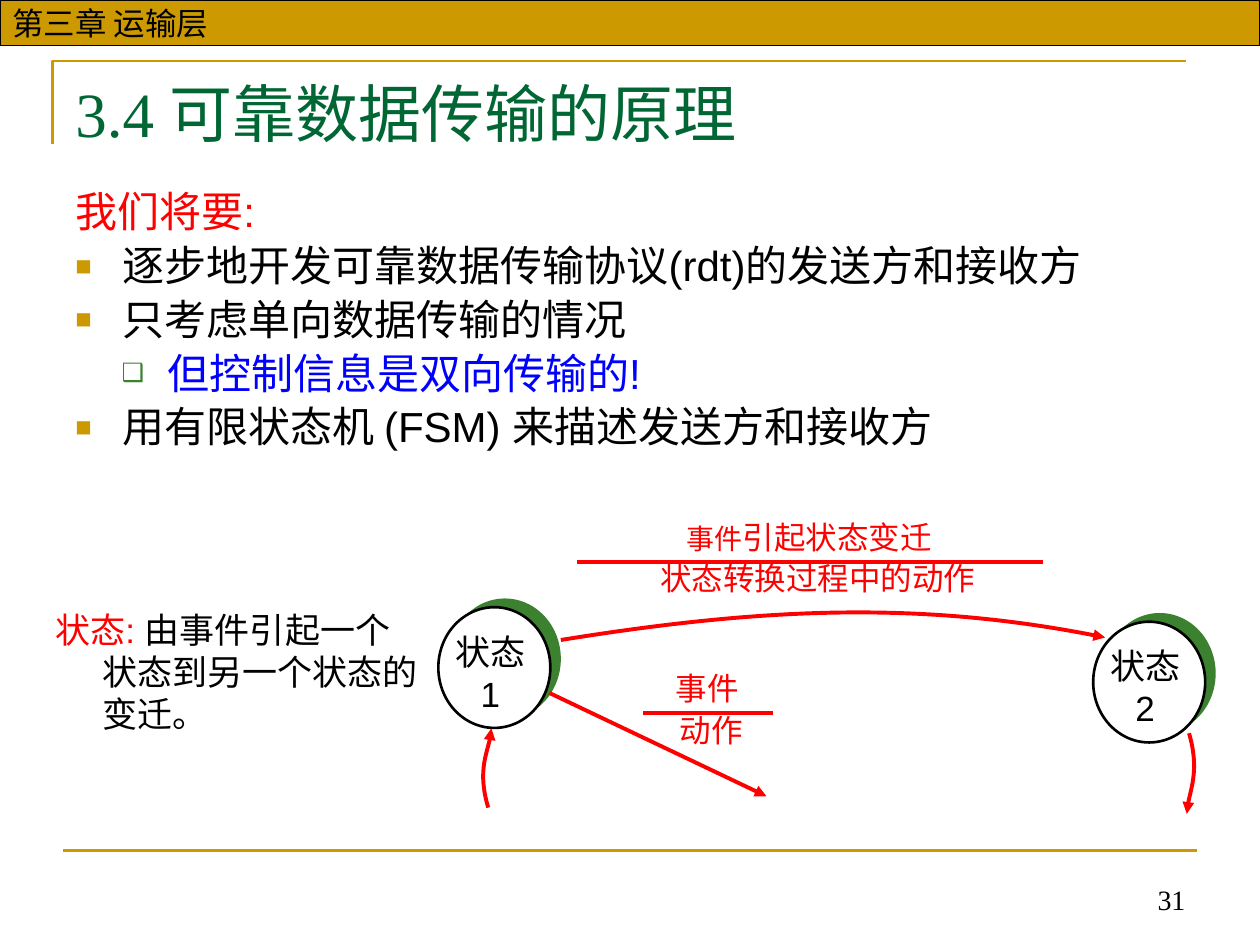
"""Builds the slide on the principles of reliable data transfer."""
from lxml import etree
from pptx import Presentation
from pptx import util as u
from pptx.dml.color import RGBColor
from pptx.enum import shapes, text
from pptx.oxml.ns import qn

COLORS = {"gold": "CC9900", "title": "006633", "green": "3B812F", "red": "FF0000",
          "blue": "0000FF", "black": "000000", "white": "FFFFFF"}
ALIGN = text.PP_ALIGN
HEADER = "第三章 运输层"
BODY = [
    ("我们将要:", "red", 0),
    ("逐步地开发可靠数据传输协议(rdt)的发送方和接收方", "black", 1),
    ("只考虑单向数据传输的情况", "black", 1),
    ("但控制信息是双向传输的!", "blue", 2),
    ("用有限状态机 (FSM) 来描述发送方和接收方", "black", 1),
]
BULLETS = {1: ("■", "gold", 65, 27, -27), 2: ("❑", "green", 60, 52.5, -26)}
STATES = [("1", 250.5, 347), ("2", 624.7, 355.3)]
STATE_SIZE = (64, 69)
LABELS = [
    ([("事件", 16), ("引起状态变迁", 18)], (385, 292.5, 155, 29)),
    ([("状态转换过程中的动作", 18)], (370, 316, 194.5, 29)),
    ([("事件", 18)], (374, 379, 60, 29)),
    ([("动作", 18)], (376.5, 403, 60, 29)),
]
LINES = [
    ((36, 486), (684, 486), "gold", 1.5, False),
    ((330, 321), (596, 321), "red", 2.25, False),
    ((367.5, 407.5), (442, 407.5), "red", 2.25, False),
    ((314, 396), (438, 455), "red", 2.25, True),
]
CURVES = [
    [(320.5, 365.7), (436.3, 347), (529.2, 343.4), (631.5, 364.3)],
    [(279, 461.5), (272.9, 441.4), (280.8, 423.4), (280.8, 416.2)],
    [(679.5, 419), (685.4, 439.2), (678.2, 457.9), (678.2, 465.1)],
]


def rgb(name):
    return RGBColor.from_string(COLORS[name])


def points(values):
    return [u.Pt(value) for value in values]


def style_line(shape, color, width, arrow=False):
    shape.line.color.rgb = rgb(color)
    shape.line.width = u.Pt(width)
    if arrow:
        etree.SubElement(shape.line._get_or_add_ln(), qn("a:tailEnd"), type="triangle")


def write(paragraph, runs, font="Arial", align=ALIGN.LEFT):
    paragraph.alignment = align
    for wording, size, color in runs:
        run = paragraph.add_run()
        run.text = wording
        run.font.size, run.font.name = u.Pt(size), font
        run.font.color.rgb = rgb(color)


def add_text(slide, box, paragraphs, font="Arial", align=ALIGN.LEFT, wrap=True,
             anchor=text.MSO_ANCHOR.TOP):
    frame = slide.shapes.add_textbox(*points(box)).text_frame
    frame.word_wrap, frame.vertical_anchor = wrap, anchor
    for index, runs in enumerate(paragraphs):
        paragraph = frame.add_paragraph() if index else frame.paragraphs[0]
        write(paragraph, runs, font, align)
    return frame


def add_filled(slide, kind, box, fill, line_width=0):
    shape = slide.shapes.add_shape(kind, *points(box))
    shape.shadow.inherit = False
    shape.fill.solid()
    shape.fill.fore_color.rgb = rgb(fill)
    if line_width:
        style_line(shape, "black", line_width)
    else:
        shape.line.fill.background()
    return shape


def set_indent(paragraph, left, first):
    properties = paragraph._p.get_or_add_pPr()
    properties.set("marL", str(u.Pt(left)))
    properties.set("indent", str(u.Pt(first)))
    return properties


def add_bullet(paragraph, level):
    character, color, size, left, first = BULLETS[level]
    paragraph.level = level - 1
    properties = set_indent(paragraph, left, first)
    bullet_color = etree.SubElement(properties, qn("a:buClr"))
    etree.SubElement(bullet_color, qn("a:srgbClr"), val=COLORS[color])
    etree.SubElement(properties, qn("a:buSzPct"), val=str(size * 1000))
    etree.SubElement(properties, qn("a:buFont"), typeface="Arial")
    etree.SubElement(properties, qn("a:buChar"), char=character)


def add_line(slide, start, end, color, width, arrow):
    line = slide.shapes.add_connector(shapes.MSO_CONNECTOR.STRAIGHT, *points(start + end))
    style_line(line, color, width, arrow)
    etree.SubElement(line._element.spPr, qn("a:effectLst"))


def add_outline(slide, vertices, color, width, arrow=False):
    start, *rest = [tuple(points(vertex)) for vertex in vertices]
    builder = slide.shapes.build_freeform(*start)
    builder.add_line_segments(rest, close=False)
    shape = builder.convert_to_shape()
    shape.shadow.inherit = False
    shape.fill.background()
    style_line(shape, color, width, arrow)
    return shape


def add_curve(slide, vertices):
    shape = add_outline(slide, vertices, "red", 2.25, True)
    outline = next(shape._element.iter(qn("a:path")))
    curve = etree.SubElement(outline, qn("a:cubicBezTo"))
    for segment in outline.findall(qn("a:lnTo")):
        curve.append(segment[0])
        outline.remove(segment)


def add_state(slide, number, left, top):
    oval = shapes.MSO_SHAPE.OVAL
    add_filled(slide, oval, (left + 6, top - 5) + STATE_SIZE, "green")
    add_filled(slide, oval, (left, top) + STATE_SIZE, "white", 1.5)
    add_text(slide, (left - 0.3, top + 9.5, 60, 55.4),
             [[("状态", 20, "black")], [(number, 20, "black")]],
             align=ALIGN.CENTER, wrap=False)


def main():
    presentation = Presentation()
    presentation.slide_width, presentation.slide_height = points((720, 540))
    slide = presentation.slides.add_slide(presentation.slide_layouts[6])

    add_outline(slide, [(30, 82.5), (30, 34.8), (678, 34.8)], "gold", 1.5)
    header = add_filled(slide, shapes.MSO_SHAPE.RECTANGLE, (0, 0, 720, 26), "gold", 0.75)
    header.text_frame.vertical_anchor = text.MSO_ANCHOR.MIDDLE
    write(header.text_frame.paragraphs[0], [(HEADER, 18, "black")])

    add_text(slide, (456.5, 491, 228, 36), [[("31", 16, "black")]], "Times New Roman",
             ALIGN.RIGHT, anchor=text.MSO_ANCHOR.BOTTOM)
    add_text(slide, (36, 39, 648, 55.5), [[("3.4 可靠数据传输的原理", 36, "title")]],
             "Times New Roman")

    body = add_text(slide, (36, 106, 648, 170),
                    [[(wording, 24, color)] for wording, color, _ in BODY])
    for index, (paragraph, (_, _, level)) in enumerate(zip(body.paragraphs, BODY)):
        paragraph.line_spacing = 0.9
        paragraph.space_before = u.Pt(4.8 if index else 0)
        if level:
            add_bullet(paragraph, level)
        else:
            set_indent(paragraph, 27, -27)

    for state in STATES:
        add_state(slide, *state)
    definition = add_text(slide, (24.5, 344, 224, 97), [[
        ("状态: ", 20, "red"), ("由事件引起一个状态到另一个状态的变迁。", 20, "black")]])
    set_indent(definition.paragraphs[0], 27, -27)

    for runs, box in LABELS:
        add_text(slide, box, [[(wording, size, "red") for wording, size in runs]],
                 align=ALIGN.CENTER, wrap=False)
    for line in LINES:
        add_line(slide, *line)
    for curve in CURVES:
        add_curve(slide, curve)

    presentation.save("out.pptx")


if __name__ == "__main__":
    main()
